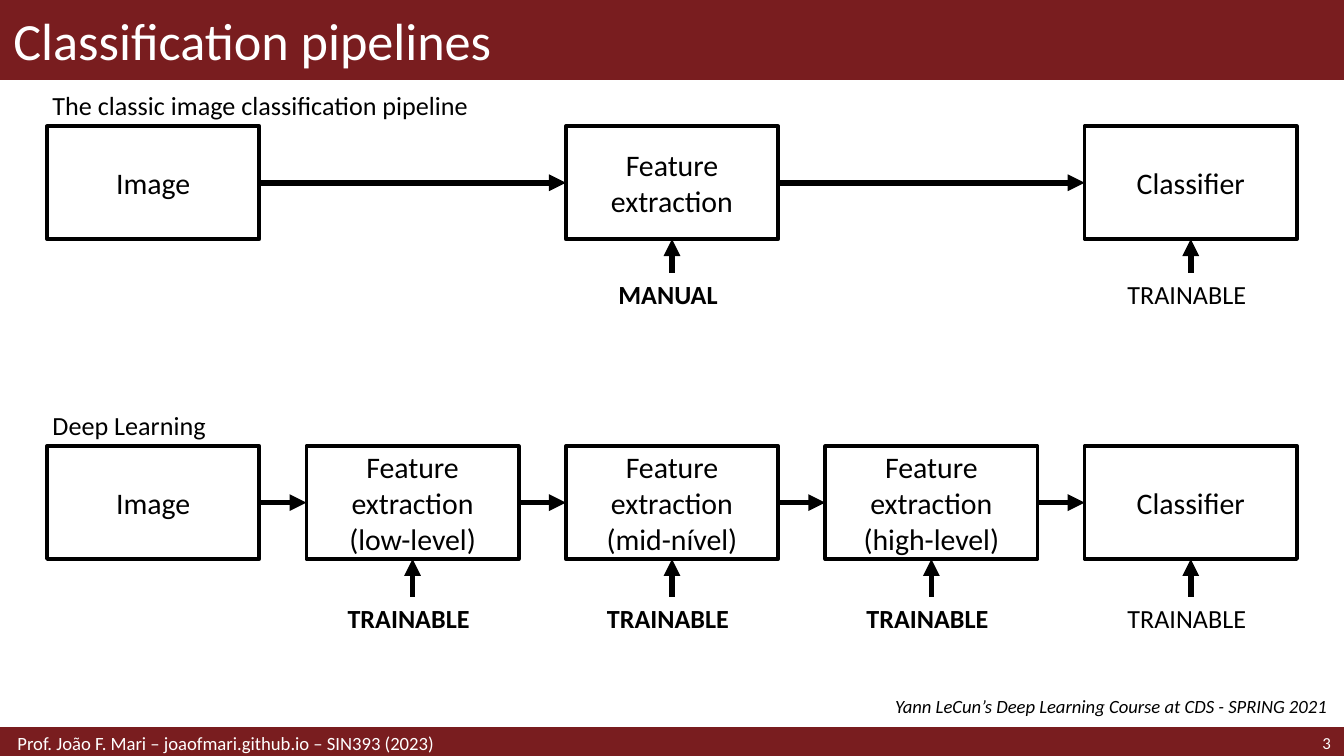
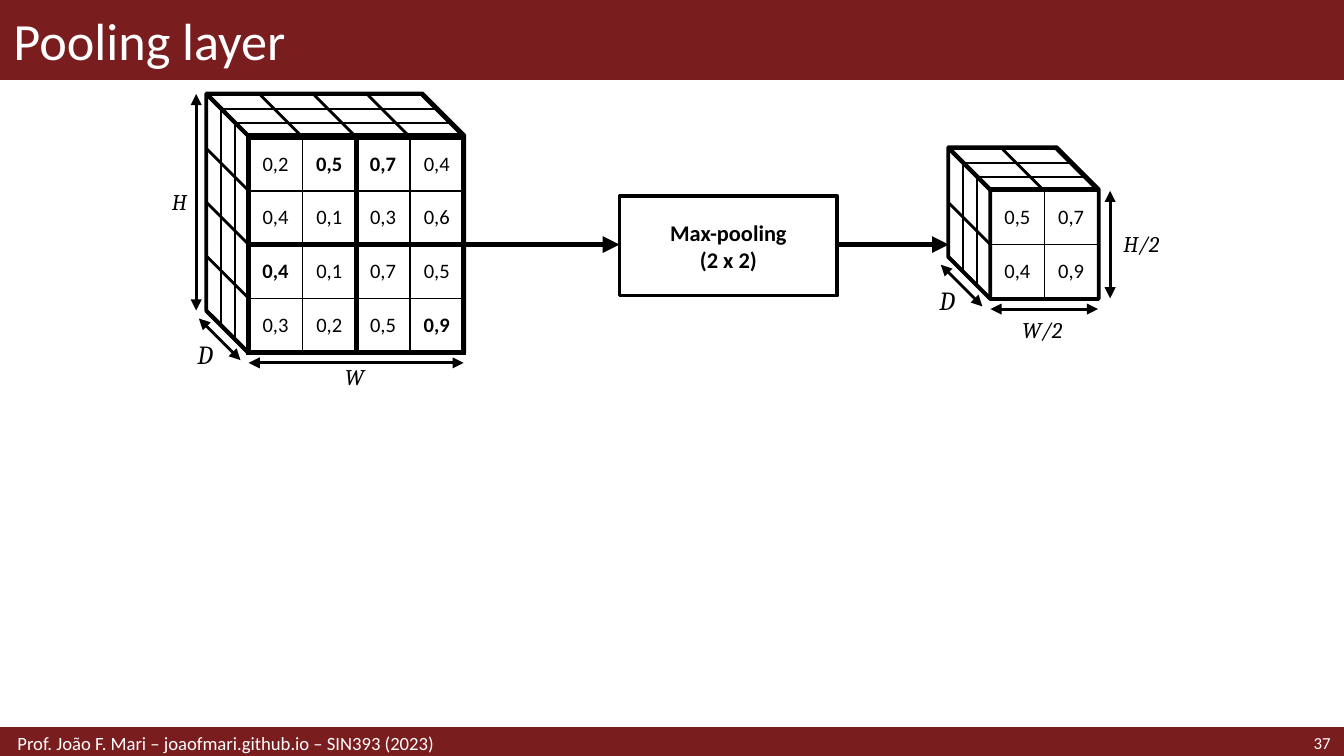
import pptx
import pptx.dml.color
import pptx.enum.shapes
import pptx.enum.text
import pptx.oxml
import pptx.oxml.ns
import pptx.util
from lxml import etree

Inches = pptx.util.Inches
Pt = pptx.util.Pt
SHAPE = pptx.enum.shapes.MSO_SHAPE
ALIGN = pptx.enum.text.PP_ALIGN
MIDDLE = pptx.enum.text.MSO_ANCHOR.MIDDLE
TOP = pptx.enum.text.MSO_ANCHOR.TOP

WINE, WHITE, BLACK = "791D1F", "FFFFFF", "000000"
WIDE = 10
HIGH = WIDE * 9 / 16
HEAD, FOOT = 0.59, 5.42
FOOTER = "Prof. João F. Mari – joaofmari.github.io – SIN393 (2023)"
INSET = (0.1, 0.05, 0.1, 0.05)
TAG_INSET = (0.04, 0.05, 0.1, 0.05)

BOX_W, BOX_H = 1.58, 0.84
LEFT, STEP = 0.35, 1.93
CELL, DEPTH = 0.4, 0.31


def color(code):
    return pptx.dml.color.RGBColor.from_string(code)


def place(shape, left, top, width, height):
    shape.left, shape.top = Inches(left), Inches(top)
    shape.width, shape.height = Inches(width), Inches(height)


def write(frame, text, size, ink=BLACK, align=ALIGN.LEFT, bold=False,
          italic=False, font="Calibri"):
    frame.text = text
    for para in frame.paragraphs:
        para.alignment = align
        for run in para.runs:
            run.font.size = Pt(size)
            run.font.name = font
            run.font.bold = bold
            run.font.italic = italic
            run.font.color.rgb = color(ink)


def fit(frame, inset=INSET, anchor=MIDDLE, wrap=True):
    """Set the margins, anchor and wrapping of a text frame."""
    frame.margin_left, frame.margin_top, frame.margin_right, frame.margin_bottom = (
        Inches(side) for side in inset)
    frame.vertical_anchor = anchor
    frame.word_wrap = wrap


def label(slide, at, text, size, inset=INSET, anchor=MIDDLE, wrap=True, **style):
    frame = slide.shapes.add_textbox(*map(Inches, at)).text_frame
    fit(frame, inset, anchor, wrap)
    write(frame, text, size, **style)


def symbol(slide, at, text, size=12, wrap=True):
    """Add the italic name of a dimension."""
    label(slide, at, text, size, anchor=TOP, wrap=wrap, italic=True, font="Cambria")


def band(slide, top, height, weight):
    bar = slide.shapes.add_shape(
        SHAPE.RECTANGLE, *map(Inches, (0, top, WIDE, height)))
    bar.shadow.inherit = False
    bar.fill.solid()
    bar.fill.fore_color.rgb = color(WINE)
    bar.line.color.rgb = color(WINE)
    bar.line.width = Pt(weight)


def outline(slide, kind, at):
    shape = slide.shapes.add_shape(kind, *map(Inches, at))
    shape.shadow.inherit = False
    shape.fill.background()
    shape.line.color.rgb = color(BLACK)
    shape.line.width = Pt(2)
    return shape


def box(slide, at, text, size, bold=False):
    frame = outline(slide, SHAPE.RECTANGLE, at).text_frame
    fit(frame)
    write(frame, text, size, align=ALIGN.CENTER, bold=bold)


def line(slide, start, end, weight, ends=()):
    """Draw a line; ends may hold headEnd and tailEnd, in that order."""
    link = slide.shapes.add_connector(
        pptx.enum.shapes.MSO_CONNECTOR.STRAIGHT, *map(Inches, (*start, *end)))
    link.line.color.rgb = color(BLACK)
    link.line.width = Pt(weight)
    stroke = link.line._get_or_add_ln()
    for name in ends:
        etree.SubElement(stroke, pptx.oxml.ns.qn("a:" + name), type="triangle")
    etree.SubElement(link.element.spPr, pptx.oxml.ns.qn("a:effectLst"))


def arrow(slide, start, end):
    line(slide, start, end, 3, ("tailEnd",))


def span(slide, start, end):
    """Draw a double-headed dimension arrow."""
    line(slide, start, end, 1.5, ("headEnd", "tailEnd"))


def page(deck, title, number):
    slide = deck.slides.add_slide(deck.slide_layouts[5])
    band(slide, 0, HEAD, 1)
    band(slide, FOOT, HIGH - FOOT, 2)
    name = slide.shapes.title
    name.element.getparent().append(name.element)
    place(name, 0, 0, WIDE, HEAD)
    fit(name.text_frame)
    write(name.text_frame, title, 28, WHITE)
    label(slide, (8.86, 5.42, 1.14, 0.21), number, 9, ink=WHITE, align=ALIGN.RIGHT)
    label(slide, (0, FOOT, 6.89, 0.21), FOOTER, 10, (0.13, 0.05, 0.1, 0.05), ink=WHITE)
    return slide


def flow(slide, title, top, tag_top, steps):
    """Draw one pipeline; each step has a column, a text, a tag and a bold flag."""
    label(slide, (LEFT, top - 0.31, 5.51, 0.31), title, 14, TAG_INSET)
    middle, last = top + BOX_H / 2, None
    for column, text, tag, bold in steps:
        left = LEFT + column * STEP
        box(slide, (left, top, BOX_W, BOX_H), text, 16)
        if last is not None:
            arrow(slide, (last + BOX_W, middle), (left, middle))
        if tag:
            label(slide, (left, tag_top, BOX_W, 0.31), tag, 14, TAG_INSET,
                  align=ALIGN.CENTER, bold=bold)
            center = left + BOX_W / 2
            arrow(slide, (center, tag_top), (center, top + BOX_H))
        last = left


def edge(cell, weights):
    """Set the left, right, top and bottom borders of a cell, in points."""
    props = cell._tc.get_or_add_tcPr()
    for spot, (side, weight) in enumerate(zip("LRTB", weights)):
        props.insert(spot, pptx.oxml.parse_xml(
            f'<a:ln{side} {pptx.oxml.ns.nsdecls("a")} w="{Pt(weight)}">'
            f'<a:solidFill><a:srgbClr val="{BLACK}"/></a:solidFill></a:ln{side}>'))


def grid(slide, left, top, rows, peaks=(), block=None):
    """Add a square table; peaks are bold, block is the gap of thick borders."""
    size = len(rows)
    side = Inches(size * CELL)
    table = slide.shapes.add_table(
        size, size, Inches(left), Inches(top), side, side).table
    table.first_row = table.horz_banding = False

    def weight(index):
        return 3 if block and index % block == 0 else 1

    for r, row in enumerate(rows):
        table.rows[r].height = table.columns[r].width = Inches(CELL)
        for c, value in enumerate(row):
            cell = table.cell(r, c)
            cell.fill.background()
            cell.vertical_anchor = MIDDLE
            cell.margin_left = cell.margin_right = Inches(0.05)
            cell.margin_top = cell.margin_bottom = Inches(0.05)
            write(cell.text_frame, value, 11, align=ALIGN.CENTER, bold=(r, c) in peaks)
            edge(cell, map(weight, (c, c + 1, r, r + 1)))


def cube(slide, left, top, size):
    """Draw the depth of a volume behind its front grid, with D and W arrows."""
    side = size * CELL
    base, right = top + side, left + side
    solid = outline(slide, SHAPE.CUBE,
                    (left - 0.32, top - 0.32, side + 0.33, side + 0.32))
    solid.rotation = 270
    solid.adjustments[0] = DEPTH / (side + DEPTH)
    for layer in range(4):
        back = DEPTH * (1 - layer / 3)
        x, y = left - back, top - back
        line(slide, (x, y), (x, y + side), 1)
        line(slide, (x + side, y), (x, y), 1)
    for index in range(size + 1):
        for x, y in ((left, top + index * CELL), (left + index * CELL, top)):
            line(slide, (x, y), (x - DEPTH, y - DEPTH), 1.5)
    span(slide, (left - 0.37, base - 0.25), (left - 0.06, base + 0.06))
    span(slide, (left, base + 0.08), (right, base + 0.08))
    symbol(slide, (left - 0.48, base - 0.15, 0.31, 0.34), "D", 14)


def classes(deck):
    slide = page(deck, "Classification pipelines", "3")
    label(slide, (0, 5.12, WIDE, 0.27),
          "Yann LeCun’s Deep Learning Course at CDS - SPRING 2021", 10,
          (0.1, 0.05, 0.13, 0.05), TOP, align=ALIGN.RIGHT, italic=True)
    first = (0, "Image", "", False)
    last = (4, "Classifier", "TRAINABLE", False)
    flow(slide, "The classic image classification pipeline", 0.94, 2.03,
         [first, (2, "Feature extraction", "MANUAL", True), last])
    levels = [(column, f"Feature extraction\n({level})", "TRAINABLE", True)
              for column, level in enumerate(("low-level", "mid-nível", "high-level"), 1)]
    flow(slide, "Deep Learning", 3.32, 4.44, [first, *levels, last])


def pooling(deck):
    slide = page(deck, "Pooling layer", "37")
    grid(slide, 1.85, 1.02,
         [("0,2", "0,5", "0,7", "0,4"),
          ("0,4", "0,1", "0,3", "0,6"),
          ("0,4", "0,1", "0,7", "0,5"),
          ("0,3", "0,2", "0,5", "0,9")],
         peaks={(0, 1), (0, 2), (2, 0), (3, 3)}, block=2)
    grid(slide, 7.37, 1.42, [("0,5", "0,7"), ("0,4", "0,9")])
    box(slide, (4.61, 1.46, 1.62, 0.74), "Max-pooling\n(2 x 2)", 12, bold=True)
    cube(slide, 1.85, 1.02, 4)
    cube(slide, 7.37, 1.42, 2)
    span(slide, (1.46, 2.31), (1.46, 0.7))
    span(slide, (8.26, 2.22), (8.26, 1.42))
    symbol(slide, (1.18, 1.35, 0.31, 0.3), "H")
    symbol(slide, (2.47, 2.65, 0.36, 0.3), "W", wrap=False)
    symbol(slide, (8.26, 1.66, 0.57, 0.3), "H/2")
    symbol(slide, (7.51, 2.3, 0.53, 0.3), "W/2", wrap=False)
    arrow(slide, (3.45, 1.82), (4.61, 1.82))
    arrow(slide, (6.23, 1.82), (7.06, 1.82))


def main():
    deck = pptx.Presentation()
    deck.slide_width, deck.slide_height = Inches(WIDE), Inches(HIGH)
    classes(deck)
    pooling(deck)
    deck.save("out.pptx")


if __name__ == "__main__":
    main()
